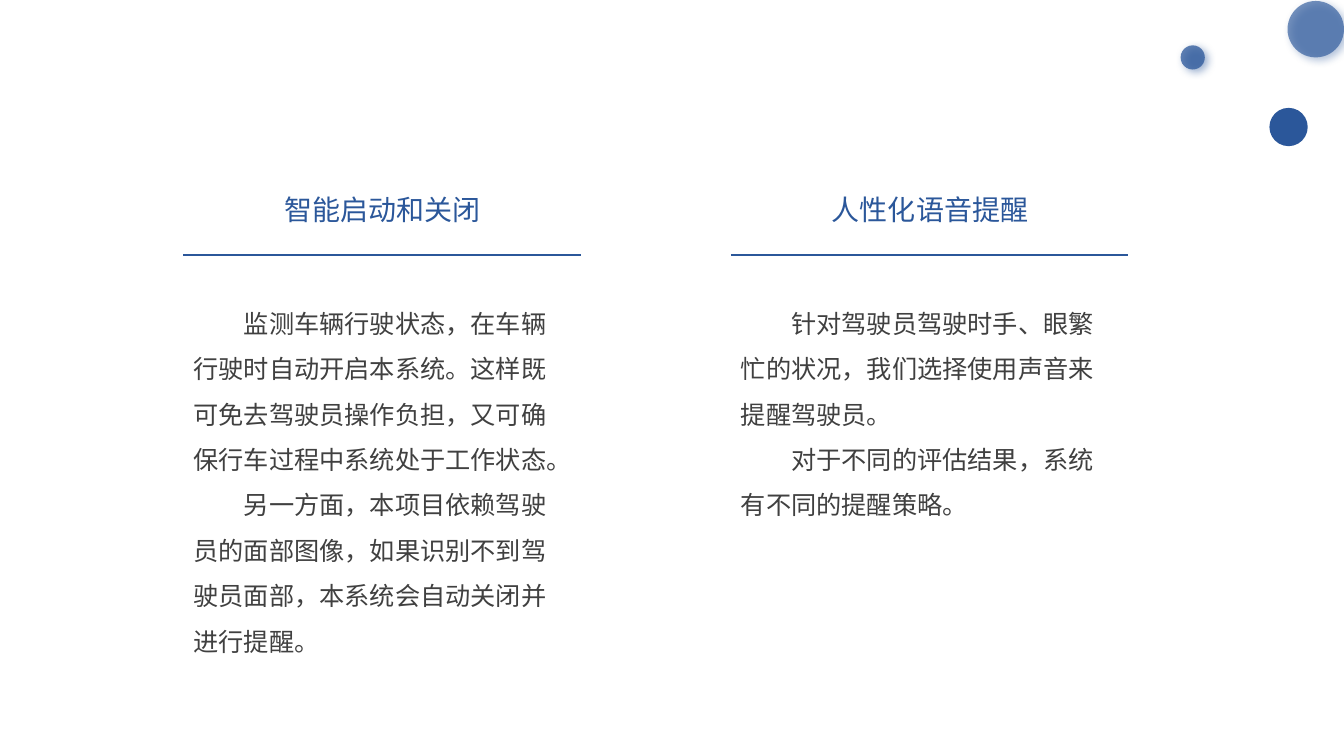
from lxml import etree
from pptx import Presentation
from pptx.dml.color import RGBColor
from pptx.enum.shapes import MSO_CONNECTOR, MSO_SHAPE
from pptx.enum.text import MSO_AUTO_SIZE, PP_ALIGN
from pptx.oxml.ns import qn
from pptx.util import Inches, Pt

STRAIGHT = MSO_CONNECTOR.STRAIGHT
OVAL = MSO_SHAPE.OVAL
GROW = MSO_AUTO_SIZE.SHAPE_TO_FIT_TEXT
LEFT, CENTER = PP_ALIGN.LEFT, PP_ALIGN.CENTER

FONT = "Noto Sans CJK SC"
BLUE, GRAY = "2B579A", "404040"

FEATURES = [
    ("智能启动和关闭", [
        "监测车辆行驶状态，在车辆行驶时自动开启本系统。这样既可免去驾驶员操作负担，又可确保行车过程中系统处于工作状态。",
        "另一方面，本项目依赖驾驶员的面部图像，如果识别不到驾驶员面部，本系统会自动关闭并进行提醒。",
    ], 3.68),
    ("人性化语音提醒", [
        "针对驾驶员驾驶时手、眼繁忙的状况，我们选择使用声音来提醒驾驶员。",
        "对于不同的评估结果，系统有不同的提醒策略。",
    ], 2.32),
]
BUBBLES = [
    (12.59, 1.07, 0.38, 100, None),
    (12.77, 0.01, 0.56, 65, 55),
    (11.71, 0.45, 0.24, 75, 61),
]
COLUMN_LEFT, COLUMN_PITCH, COLUMN_WIDTH = 1.82, 5.43, 3.94
HEADING_INSET, HEADING_WIDTH = 0.22, 3.51
HEADING_TOP, RULE_TOP, BODY_TOP = 1.86, 2.53, 2.86


def rgb(color):
    return RGBColor.from_string(color)


def add_alpha(color_element, percent):
    etree.SubElement(color_element, qn("a:alpha"), val=str(percent * 1000))


def add_bubble(slide, left, top, size, opacity, shadow_opacity):
    bubble = slide.shapes.add_shape(
        OVAL, Inches(left), Inches(top), Inches(size), Inches(size))
    bubble.shadow.inherit = False
    bubble.line.fill.background()
    bubble.fill.solid()
    bubble.fill.fore_color.rgb = rgb(BLUE)
    properties = bubble.fill._xPr
    if opacity < 100:
        add_alpha(properties.find(qn("a:solidFill"))[0], opacity)
    if shadow_opacity:
        shadow = etree.SubElement(
            properties.find(qn("a:effectLst")), qn("a:outerShdw"),
            blurRad=str(Pt(6)), dist=str(Pt(3)), dir=str(45 * 60000),
            algn="tl", rotWithShape="0")
        tint = etree.SubElement(shadow, qn("a:srgbClr"), val=BLUE)
        add_alpha(tint, shadow_opacity)


def add_text(slide, paragraphs, box, size, color, align=LEFT, spacing=1.0, indent=0):
    frame = slide.shapes.add_textbox(*map(Inches, box)).text_frame
    frame.word_wrap = True
    frame.auto_size = GROW
    for index, text in enumerate(paragraphs):
        paragraph = frame.add_paragraph() if index else frame.paragraphs[0]
        paragraph.alignment = align
        paragraph.line_spacing = spacing
        if indent:
            layout = paragraph._p.get_or_add_pPr()
            layout.set("marL", "0")
            layout.set("indent", str(Inches(indent)))
        run = paragraph.add_run()
        run.text = text
        run.font.size = Pt(size)
        run.font.color.rgb = rgb(color)
        run.font.name = FONT
        etree.SubElement(run._r.get_or_add_rPr(), qn("a:ea"), typeface=FONT)


def add_rule(slide, left, top, width):
    rule = slide.shapes.add_connector(
        STRAIGHT, Inches(left), Inches(top), Inches(left + width), Inches(top))
    rule.line.color.rgb = rgb(BLUE)
    rule.line.width = Pt(1.25)
    etree.SubElement(rule._element.spPr, qn("a:effectLst"))


def main():
    deck = Presentation()
    deck.slide_width, deck.slide_height = Inches(13.33), Inches(7.5)
    slide = deck.slides.add_slide(deck.slide_layouts.get_by_name("Blank"))
    for bubble in BUBBLES:
        add_bubble(slide, *bubble)
    for index, (heading, body, body_height) in enumerate(FEATURES):
        left = COLUMN_LEFT + index * COLUMN_PITCH
        add_text(slide, [heading],
                 (left + HEADING_INSET, HEADING_TOP, HEADING_WIDTH, 0.44),
                 size=20, color=BLUE, align=CENTER)
        add_rule(slide, left, RULE_TOP, COLUMN_WIDTH)
        add_text(slide, body, (left, BODY_TOP, COLUMN_WIDTH, body_height),
                 size=18, color=GRAY, spacing=1.5, indent=0.5)
    deck.save("out.pptx")


if __name__ == "__main__":
    main()
